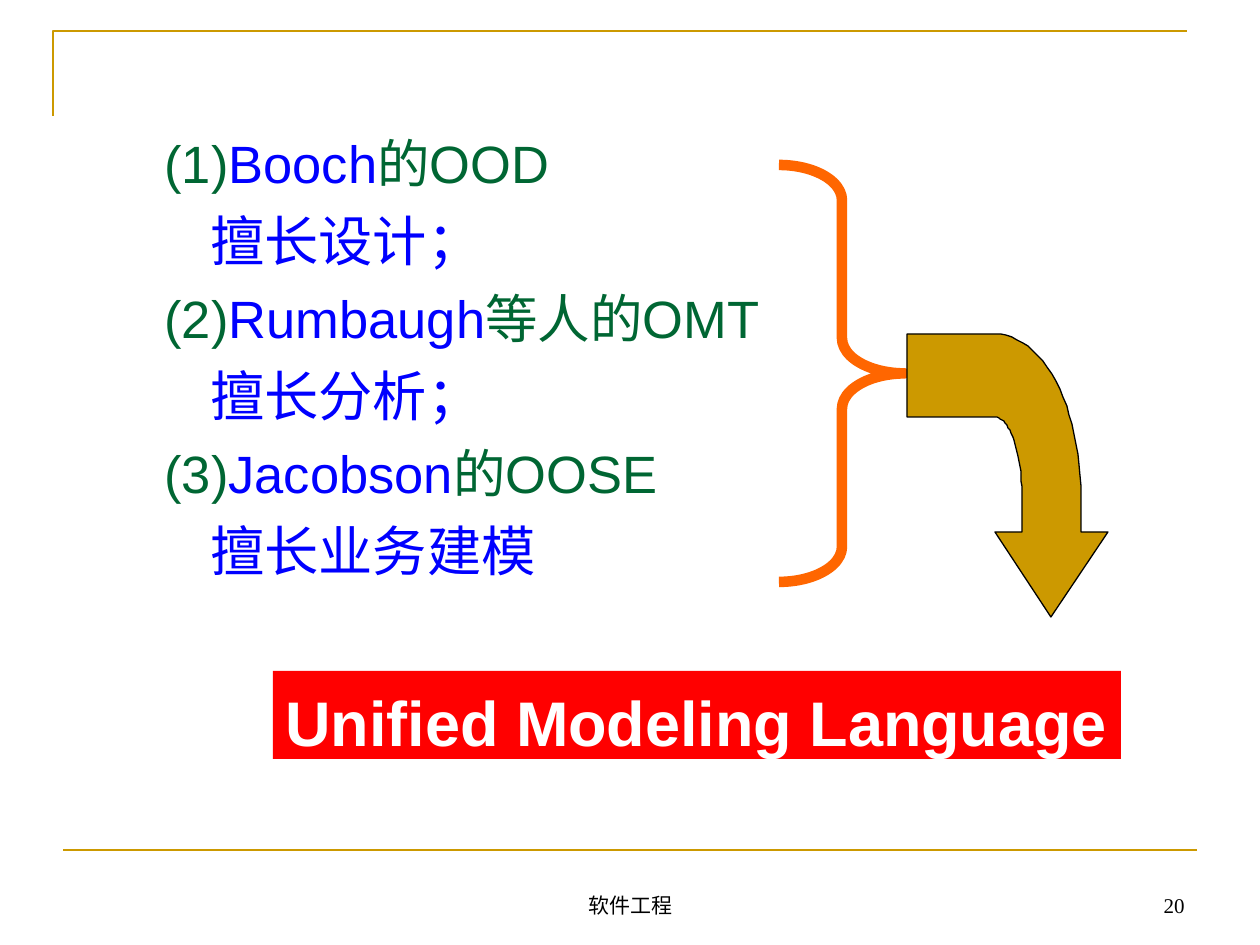
from dataclasses import dataclass
from math import cos, pi, sin

from lxml.etree import SubElement
from pptx import Presentation
from pptx.dml.color import RGBColor
from pptx.enum.shapes import MSO_CONNECTOR, MSO_SHAPE
from pptx.enum.text import MSO_ANCHOR, PP_ALIGN
from pptx.oxml.ns import qn
from pptx.util import Emu, Inches, Pt


@dataclass(frozen=True)
class Theme:
    gold: RGBColor = RGBColor(0xCC, 0x99, 0x00)
    green: RGBColor = RGBColor(0x00, 0x66, 0x33)
    blue: RGBColor = RGBColor(0x00, 0x00, 0xFF)
    orange: RGBColor = RGBColor(0xFF, 0x66, 0x00)
    red: RGBColor = RGBColor(0xFF, 0x00, 0x00)
    white: RGBColor = RGBColor(0xFF, 0xFF, 0xFF)
    black: RGBColor = RGBColor(0x00, 0x00, 0x00)
    method_size: int = 30
    strength_size: int = 31
    banner_size: int = 36
    footer_size: int = 12


theme = Theme()
SCALE = Inches(1) / 126


def px(value):
    return Emu(round(value * SCALE))


def write(text, *, para, size, color, font="Arial", bold=False):
    span = para.add_run()
    span.text = text
    span.font.name = font
    span.font.size = Pt(size)
    span.font.bold = bold
    span.font.color.rgb = color


deck = Presentation()
deck.slide_width, deck.slide_height = px(1260), px(945)
page = deck.slides.add_slide(deck.slide_layouts[6])

builder = page.shapes.build_freeform(53, 116, scale=SCALE)
builder.add_line_segments([(53, 31), (1187, 31)], close=False)
corner = builder.convert_to_shape()
corner.shadow.inherit = False
corner.fill.background()
corner.line.color.rgb = theme.gold
corner.line.width = Pt(1.5)

rule = page.shapes.add_connector(MSO_CONNECTOR.STRAIGHT, px(63), px(850), px(1197), px(850))
rule.line.color.rgb = theme.gold
rule.line.width = Pt(1.5)
SubElement(rule._element.spPr, qn("a:effectLst"))

methods = [
    ("(1)", "Booch", "的OOD", "擅长设计；"),
    ("(2)", "Rumbaugh", "等人的OMT", "擅长分析；"),
    ("(3)", "Jacobson", "的OOSE", "擅长业务建模"),
]
box = page.shapes.add_textbox(px(105), px(125), px(1071), px(567))
frame = box.text_frame
frame.word_wrap = True
for index, (number, author, method, strength) in enumerate(methods):
    para = frame.paragraphs[0] if index == 0 else frame.add_paragraph()
    para.space_before = Pt(7.5 if index else 0)
    para._p.get_or_add_pPr().set("marL", str(px(92)))
    para._p.get_or_add_pPr().set("indent", str(px(-45)))
    for text, color in ((number, theme.green), (author, theme.blue), (method, theme.green)):
        write(text, para=para, size=theme.method_size, color=color)

    para = frame.add_paragraph()
    para.space_before = Pt(7.7)
    para._p.get_or_add_pPr().set("marL", str(px(141)))
    para._p.get_or_add_pPr().set("indent", str(px(-48)))
    write(strength, para=para, size=theme.strength_size, color=theme.blue)

brace = page.shapes.add_shape(MSO_SHAPE.RIGHT_BRACE, px(779), px(165), px(126), px(417))
brace.adjustments[0] = 0.28
brace.shadow.inherit = False
brace.fill.background()
brace.line.color.rgb = theme.orange
brace.line.width = Pt(6)

banner = page.shapes.add_shape(MSO_SHAPE.RECTANGLE, px(273), px(671), px(848), px(88))
banner.shadow.inherit = False
banner.fill.solid()
banner.fill.fore_color.rgb = theme.red
banner.line.fill.background()
frame = banner.text_frame
frame.word_wrap = False
frame.vertical_anchor = MSO_ANCHOR.TOP
frame.margin_top = px(13)
frame.margin_bottom = 0
para = frame.paragraphs[0]
para.alignment = PP_ALIGN.LEFT
write("Unified Modeling Language", para=para, size=theme.banner_size, color=theme.white, bold=True)

STEPS = 24
angles = [pi / 2 * step / STEPS for step in range(STEPS + 1)]
outer_bend = [(995 + 86 * sin(angle), 496 - 162 * cos(angle)) for angle in angles]
inner_bend = [(995 + 27 * sin(angle), 496 - 79 * cos(angle)) for angle in reversed(angles)]
arrow_head = [(1081, 532), (1108, 532), (1051, 617), (995, 532), (1022, 532)]
builder = page.shapes.build_freeform(907, 334, scale=SCALE)
builder.add_line_segments(outer_bend + arrow_head + inner_bend + [(907, 417)], close=True)
arrow = builder.convert_to_shape()
arrow.shadow.inherit = False
arrow.fill.solid()
arrow.fill.fore_color.rgb = theme.gold
arrow.line.color.rgb = theme.black
arrow.line.width = Pt(0.75)

footers = [
    ("软件工程", 431, 399, PP_ALIGN.CENTER),
    ("20", 903, 294, PP_ALIGN.RIGHT),
]
for text, left, width, alignment in footers:
    box = page.shapes.add_textbox(px(left), px(861), px(width), px(63))
    frame = box.text_frame
    frame.word_wrap = True
    frame.vertical_anchor = MSO_ANCHOR.BOTTOM
    para = frame.paragraphs[0]
    para.alignment = alignment
    write(text, para=para, size=theme.footer_size, color=theme.black, font="Times New Roman")

deck.save("out.pptx")
